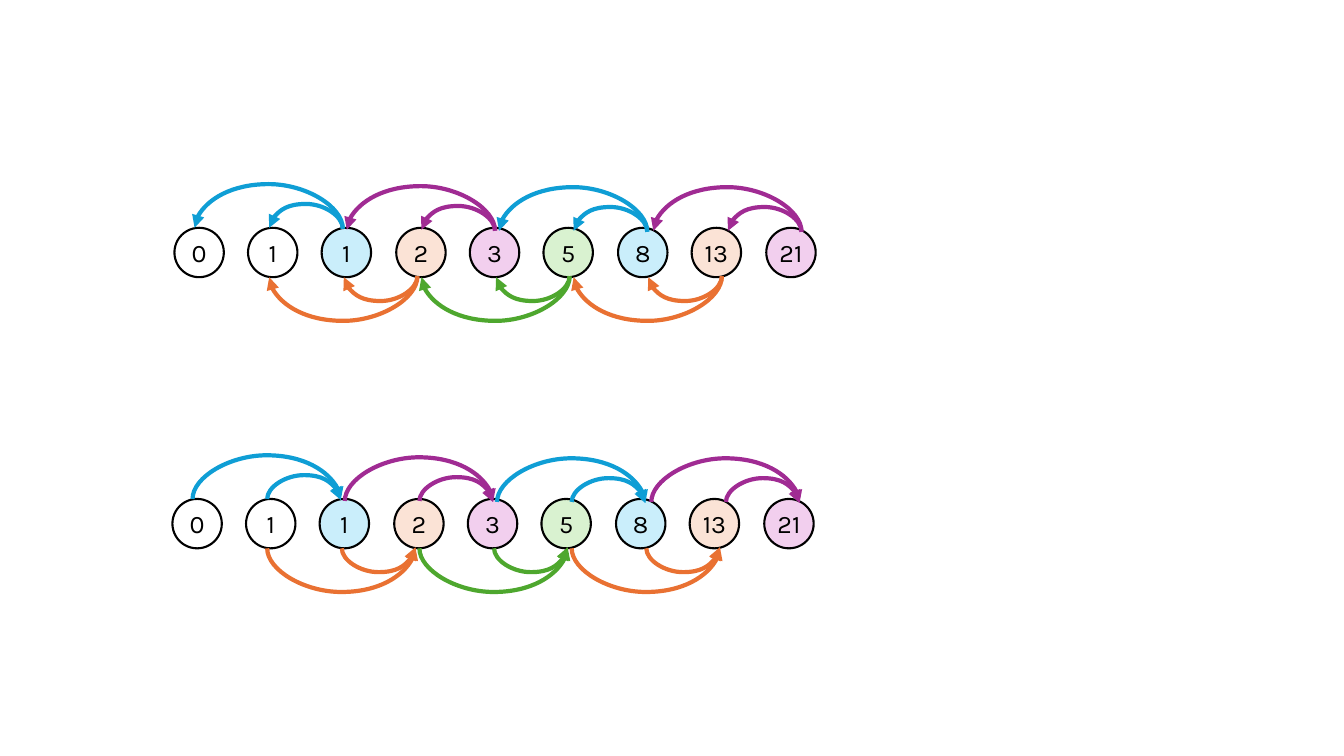
"""Build a slide of two Fibonacci chains, one looking back and one looking forward."""
from lxml.etree import SubElement as Sub
from pptx import Presentation
from pptx.dml.color import RGBColor as RGB
from pptx.enum.shapes import MSO_CONNECTOR as Link, MSO_SHAPE as Shape
from pptx.enum.text import MSO_ANCHOR as Anchor, PP_ALIGN as Align
from pptx.oxml.ns import qn
from pptx.util import Pt

PX = 9144
SIZE, STEP, SPAN = 49, 73, 587
BLACK, WHITE = RGB(0, 0, 0), RGB(255, 255, 255)
BLUE, ORANGE = RGB(0x0F, 0x9E, 0xD5), RGB(0xE9, 0x71, 0x32)
PURPLE, GREEN = RGB(0xA0, 0x2B, 0x93), RGB(0x4E, 0xA7, 0x2E)
SKY, PEACH = RGB(0xCA, 0xEE, 0xFB), RGB(0xFB, 0xE3, 0xD6)
PINK, MINT = RGB(0xF2, 0xCF, 0xEE), RGB(0xD9, 0xF2, 0xD0)

NODES = [("0", WHITE), ("1", WHITE), ("1", SKY), ("2", PEACH), ("3", PINK),
         ("5", MINT), ("8", SKY), ("13", PEACH), ("21", PINK)]
SUMS = [(2, 21, 1, BLUE), (3, 21, 48, ORANGE), (4, 25, 3, PURPLE),
        (5, 26, 48, GREEN), (7, 30, 48, ORANGE), (6, 29, 4, BLUE),
        (8, 35, 4, PURPLE)]


def place(index):
    """Return the offset of a node from the start of its row."""
    return SPAN * index // (len(NODES) - 1)


def node(slide, left, top, text, color):
    """Draw one numbered circle."""
    disc = slide.shapes.add_shape(
        Shape.OVAL, *(v * PX for v in (left, top, SIZE, SIZE)))
    disc.shadow.inherit = False
    disc.fill.solid()
    disc.fill.fore_color.rgb = color
    disc.line.color.rgb = BLACK
    disc.line.width = Pt(1.5)
    frame = disc.text_frame
    frame.margin_left = frame.margin_right = 0
    frame.margin_top = frame.margin_bottom = 0
    frame.word_wrap = False
    frame.vertical_anchor = Anchor.MIDDLE
    para = frame.paragraphs[0]
    para.text = text
    para.alignment = Align.CENTER
    para.font.name = "Karla"
    para.font.size = Pt(18)
    para.font.color.rgb = BLACK


def arc(slide, right, base, width, bulge, above, color, end):
    """Draw a curved arrow leftward from a point, bulging above or below."""
    mid = right * PX - width * PX // 2
    level = base * PX + (-PX // 2 if above else PX // 2)
    half = width * PX // 2 * (-1 if above else 1)
    link = slide.shapes.add_connector(
        Link.CURVE, mid - PX // 2, level - half, mid + PX // 2, level + half)
    link.line.color.rgb = color
    link.line.width = Pt(3)
    props = link._element.spPr
    props.find(qn("a:xfrm")).set("rot", str((270 if above else 90) * 60000))
    guides = props.find(qn("a:prstGeom")).find(qn("a:avLst"))
    Sub(guides, qn("a:gd"), name="adj1", fmla=f"val {bulge * 100000}")
    Sub(props.find(qn("a:ln")), qn(end), type="triangle")
    Sub(props, qn("a:effectLst"))


def chain(slide, left, top, end):
    """Draw a row of circles with arcs to the two terms of each sum."""
    for index, (text, color) in enumerate(NODES):
        node(slide, left + place(index), top, text, color)
    for index, dx, dy, color in SUMS:
        for width, bulge in ((STEP, 25), (2 * STEP + 1, 45)):
            arc(slide, left + place(index) + dx, top + dy, width, bulge,
                dy < SIZE // 2, color, end)


def main():
    """Build and save the slide."""
    deck = Presentation()
    deck.slide_width, deck.slide_height = 1333 * PX, 750 * PX
    slide = deck.slides.add_slide(deck.slide_layouts[6])
    chain(slide, 173, 226, "a:tailEnd")
    chain(slide, 171, 495, "a:headEnd")
    deck.save("out.pptx")


if __name__ == "__main__":
    main()
